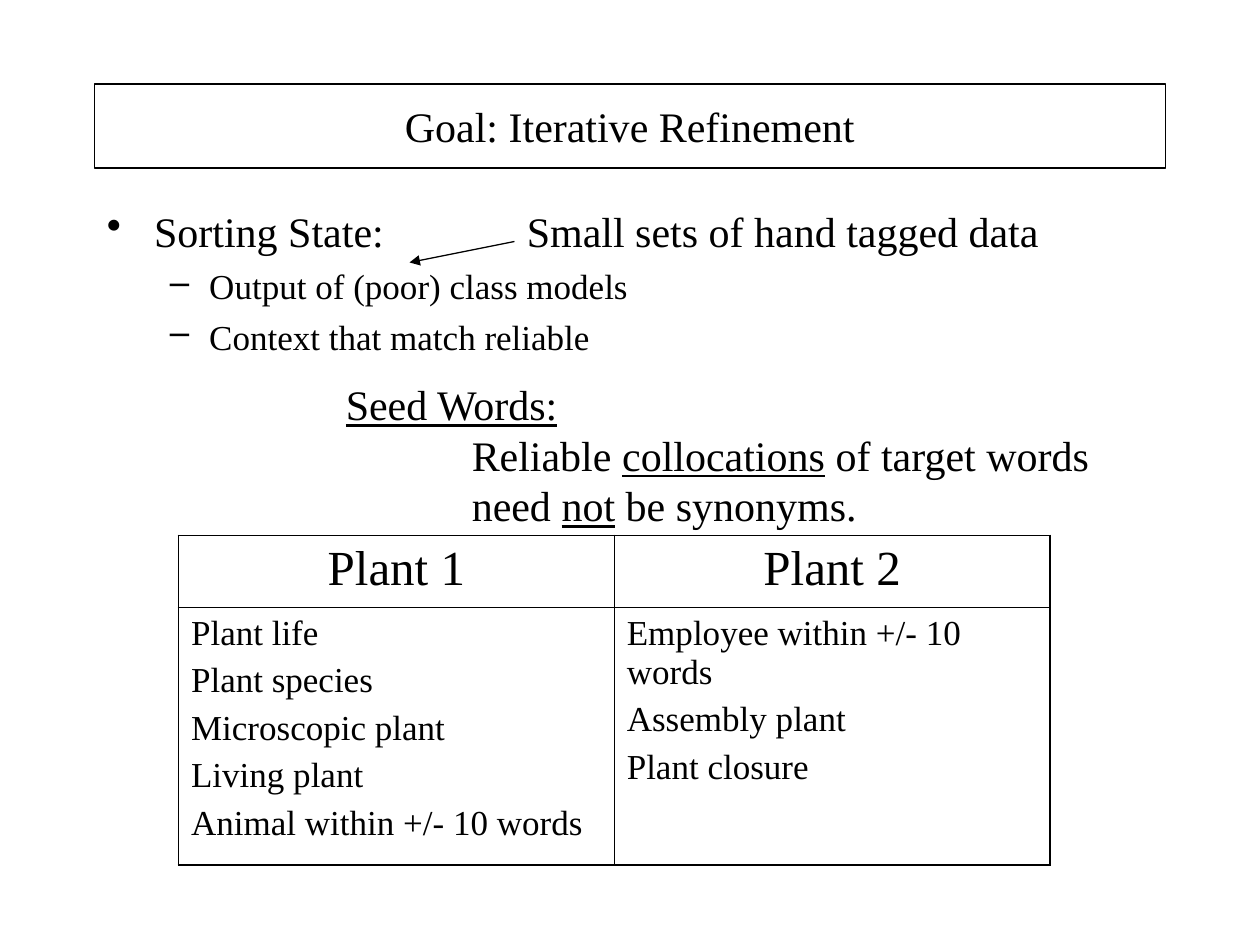
from dataclasses import dataclass
from lxml.etree import SubElement
from pptx import Presentation
from pptx.dml.color import RGBColor
from pptx.enum.shapes import MSO_CONNECTOR as Connector, MSO_SHAPE as Shape
from pptx.enum.text import MSO_ANCHOR as Anchor, PP_ALIGN as Align
from pptx.oxml.ns import qn
from pptx.util import Pt


@dataclass(frozen=True)
class Theme:
    """Colours, font and type sizes of the slide."""
    ink: RGBColor = RGBColor(0, 0, 0)
    font: str = "Times New Roman"
    heading: int = 28
    body: int = 24
    detail: int = 20
    rule: float = 0.75
    grid_outer: float = 1.08
    grid_inner: float = 0.45


THEME = Theme()


def write(paragraph, pieces, size, align=Align.LEFT, before=0, indent=0, hanging=0, bullet=None):
    """Fill a paragraph with (words, underlined) pieces and set its layout."""
    paragraph.alignment = align
    paragraph.space_before = Pt(before)
    layout = paragraph._p.get_or_add_pPr()
    layout.set("marL", str(Pt(indent)))
    layout.set("indent", str(-Pt(hanging)))
    if bullet:
        SubElement(layout, qn("a:buChar"), char=bullet)
    for words, underlined in pieces:
        run = paragraph.add_run()
        run.text = words
        run.font.name, run.font.size = THEME.font, Pt(size)
        run.font.color.rgb = THEME.ink
        run.font.underline = underlined


def paragraphs(frame, count):
    """Return the given number of paragraphs of an empty text frame."""
    return [frame.paragraphs[0]] + [frame.add_paragraph() for _ in range(count - 1)]


def text_frame(slide, box):
    """Add a wrapping text box and return its frame."""
    frame = slide.shapes.add_textbox(*map(Pt, box)).text_frame
    frame.word_wrap = True
    return frame


def add_title(slide, box, title):
    """Draw the framed title."""
    banner = slide.shapes.add_shape(Shape.RECTANGLE, *map(Pt, box))
    banner.shadow.inherit = False
    banner.fill.background()
    banner.line.color.rgb = THEME.ink
    banner.line.width = Pt(THEME.rule)
    banner.text_frame.word_wrap = True
    banner.text_frame.vertical_anchor = Anchor.MIDDLE
    write(banner.text_frame.paragraphs[0], [(title, False)], THEME.body, Align.CENTER)


def add_sorting_state(slide, box, topic, points, remark):
    """Place the bulleted topic with its points, and the remark pointing at them."""
    left, top, width, height = box
    topic_line, *point_lines = paragraphs(text_frame(slide, box), 1 + len(points))
    write(topic_line, [(topic, False)], THEME.body, before=6, indent=27, hanging=27, bullet="•")
    for line, point in zip(point_lines, points):
        write(line, [(point, False)], THEME.detail, before=5,
              indent=58.5, hanging=22.5, bullet="–")
    remark_line = text_frame(slide, (left + 240, top, 366, 36)).paragraphs[0]
    write(remark_line, [(remark, False)], THEME.body)
    add_arrow(slide, (left + 240, top + 24), (left + 180, top + 36))


def add_arrow(slide, start, end):
    """Draw a thin arrow from start to end."""
    arrow = slide.shapes.add_connector(Connector.STRAIGHT, *map(Pt, start + end))
    arrow.line.color.rgb = THEME.ink
    arrow.line.width = Pt(THEME.rule)
    SubElement(arrow.line._get_or_add_ln(), qn("a:tailEnd"), type="triangle")
    SubElement(arrow._element.spPr, qn("a:effectLst"))


def add_seed_words(slide, box, term, definition):
    """Place the underlined term above its indented definition."""
    term_line, *lines = paragraphs(text_frame(slide, box), 1 + len(definition))
    write(term_line, [(term, True)], THEME.body)
    for line, pieces in zip(lines, definition):
        write(line, pieces, THEME.body, indent=72)


def set_borders(cell, outer_sides):
    """Rule a cell, heavier on the sides that face outwards."""
    properties = cell._tc.get_or_add_tcPr()
    for position, side in enumerate("LRTB"):
        weight = THEME.grid_outer if side in outer_sides else THEME.grid_inner
        border = SubElement(properties, qn(f"a:ln{side}"), w=str(Pt(weight)))
        fill = SubElement(border, qn("a:solidFill"))
        SubElement(fill, qn("a:srgbClr"), val=str(THEME.ink))
        properties.remove(border)
        properties.insert(position, border)


def add_senses(slide, box, senses, head_height):
    """Place the table with one column of seed words for each sense."""
    left, top, width, height = box
    table = slide.shapes.add_table(2, len(senses), *map(Pt, box)).table
    table.first_row = table.horz_banding = False
    table.rows[0].height, table.rows[1].height = Pt(head_height), Pt(height - head_height)
    for column, (sense, seeds) in enumerate(senses.items()):
        head, body = table.cell(0, column), table.cell(1, column)
        edge = "LR"[column]
        for cell, outer_sides in ((head, edge + "T"), (body, edge + "B")):
            cell.fill.background()
            set_borders(cell, outer_sides)
        write(head.text_frame.paragraphs[0], [(sense, False)], THEME.heading, Align.CENTER, before=7)
        for line, seed in zip(paragraphs(body.text_frame, len(seeds)), seeds):
            write(line, [(seed, False)], THEME.detail, before=5)


def main():
    """Build and save the slide."""
    deck = Presentation()
    deck.slide_width, deck.slide_height = Pt(720), Pt(540)
    slide = deck.slides.add_slide(deck.slide_layouts[6])
    add_title(slide, (54, 48, 612, 48), "Goal: Iterative Refinement")
    add_sorting_state(slide, (54, 114, 612, 108), "Sorting State:",
                      ["Output of (poor) class models", "Context that match reliable"],
                      "Small sets of hand tagged data")
    add_seed_words(slide, (190.5, 213, 469.5, 93.6), "Seed Words:", [
        [("Reliable ", False), ("collocations", True), (" of target words", False)],
        [("need ", False), ("not", True), (" be synonyms.", False)],
    ])
    add_senses(slide, (102, 306, 498, 188.4), {
        "Plant 1": ["Plant life", "Plant species", "Microscopic plant", "Living plant",
                    "Animal within +/- 10 words"],
        "Plant 2": ["Employee within +/- 10 words", "Assembly plant", "Plant closure"],
    }, head_height=41.2)
    deck.save("out.pptx")


if __name__ == "__main__":
    main()
